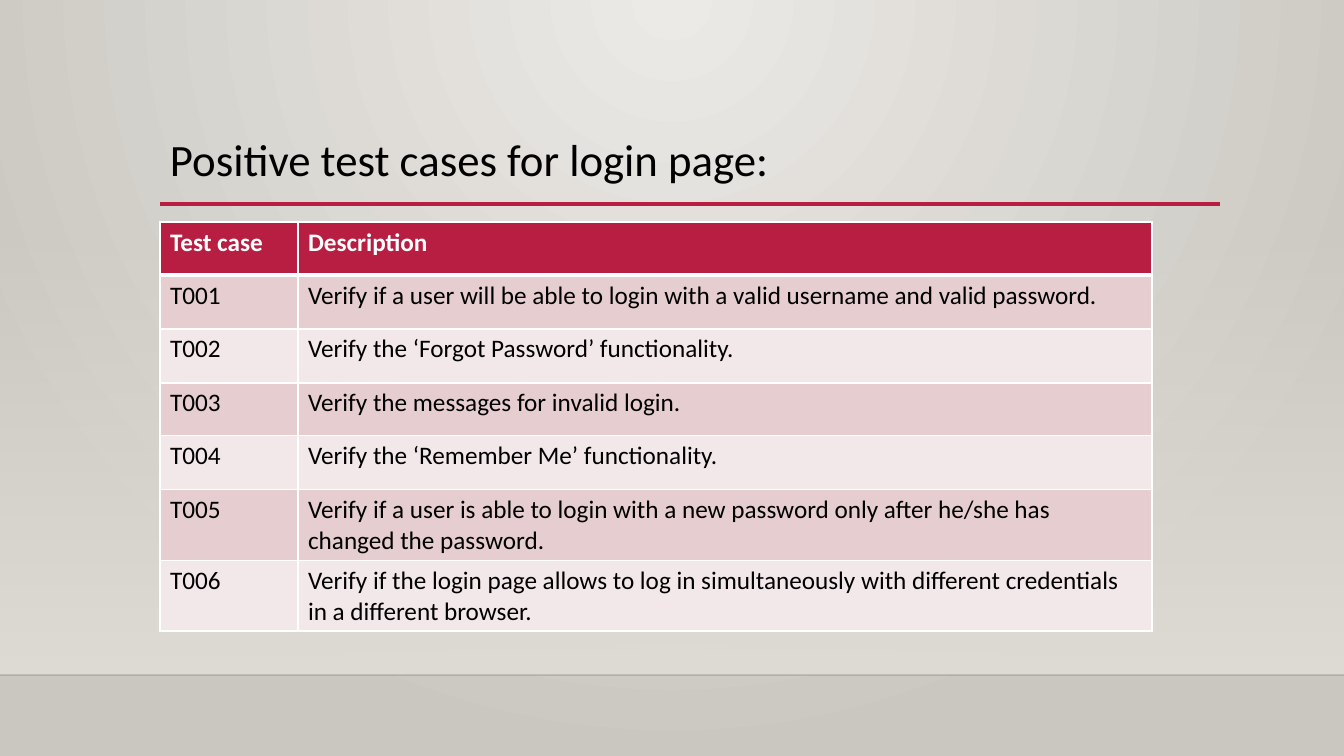
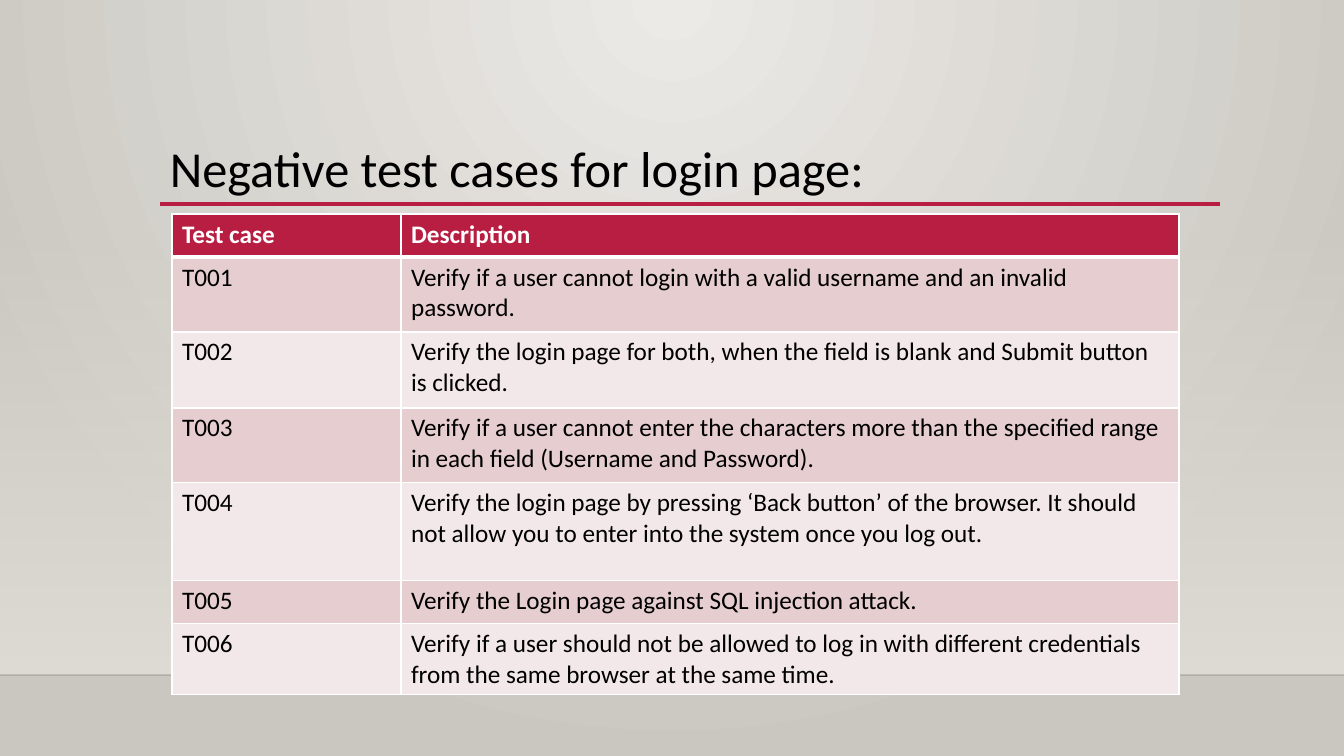
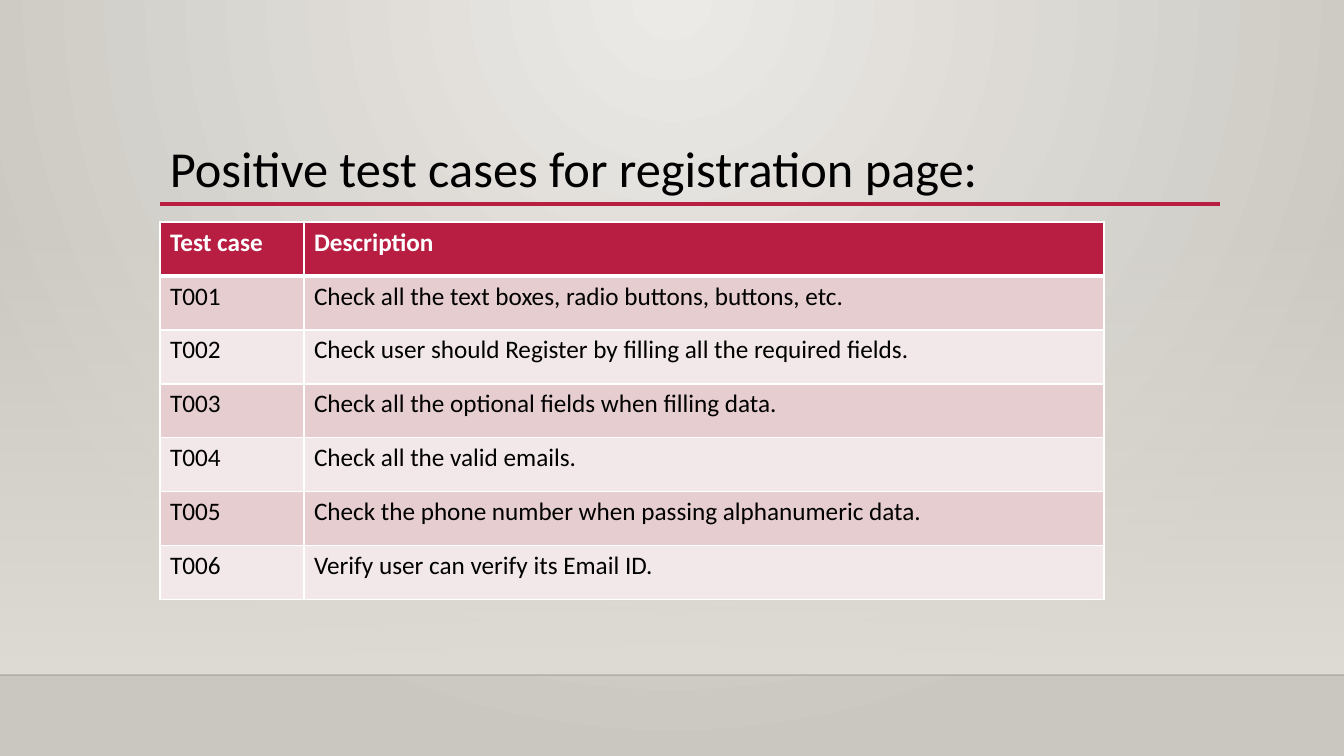
"""Build three slides of login and registration test cases."""
from dataclasses import dataclass

from lxml import etree
from pptx import Presentation
from pptx import util as u
from pptx.dml.color import RGBColor
from pptx.enum import shapes, text
from pptx.oxml.ns import qn

SCALE = 914400 / 100.8
WIDE, HIGH = 1344, 756
FLOOR = 675
FONT = "Calibri"
RED, BLACK, WHITE = "B71E42", "000000", "FFFFFF"
BANDS = ("F3E8E9", "E6CDCF")
HEADS = ("Test case", "Description")


@dataclass(frozen=True)
class Box:
    """A frame in pixels."""
    left: int
    top: int
    width: int
    height: int


@dataclass(frozen=True)
class Rule:
    """A straight line between two points at one height."""
    left: int
    right: int
    y: int
    color: str
    width: float
    alpha: int = 100


@dataclass(frozen=True)
class Page:
    """A title and its table of test cases."""
    title: str
    frame: Box
    size: int
    left: int
    top: int
    cols: tuple[int, int]
    rows: tuple[int, ...]
    cases: tuple[str, ...]


RULES = (
    Rule(0, WIDE, FLOOR, "000001", 1, 20),
    Rule(160, 1220, 204, RED, 2.5),
)

PAGES = (
    Page("Positive test cases for login page:", Box(160, 133, 656, 77), 32,
         160, 222, (138, 854), (53, 54, 54, 53, 54, 54, 54), (
             "Verify if a user will be able to login with a valid username and valid password.",
             "Verify the ‘Forgot Password’ functionality.",
             "Verify the messages for invalid login.",
             "Verify the ‘Remember Me’ functionality.",
             "Verify if a user is able to login with a new password only after he/she has "
             "changed the password.",
             "Verify if the login page allows to log in simultaneously with different "
             "credentials in a different browser.")),
    Page("Negative test cases for login page:", Box(160, 139, 1053, 66), 36,
         172, 214, (229, 778), (43, 75, 76, 75, 98, 43, 43), (
             "Verify if a user cannot login with a valid username and an invalid password.",
             "Verify the login page for both, when the field is blank and Submit button "
             "is clicked.",
             "Verify if a user cannot enter the characters more than the specified range "
             "in each field (Username and Password).",
             "Verify the login page by pressing ‘Back button’ of the browser. It should "
             "not allow you to enter into the system once you log out.",
             "Verify the Login page against SQL injection attack.",
             "Verify if a user should not be allowed to log in with different credentials "
             "from the same browser at the same time.")),
    Page("Positive test cases for registration page:", Box(160, 139, 911, 66), 36,
         160, 222, (144, 800), (54,) * 7, (
             "Check all the text boxes, radio buttons, buttons, etc.",
             "Check user should Register by filling all the required fields.",
             "Check all the optional fields when filling data.",
             "Check all the valid emails.",
             "Check the phone number when passing alphanumeric data.",
             "Verify user can verify its Email ID.")),
)


def px(value: float) -> u.Emu:
    """Turn pixels into EMU."""
    return u.Emu(round(value * SCALE))


def rgb(code: str) -> RGBColor:
    """Turn a hex string into a colour."""
    return RGBColor.from_string(code)


def place(box: Box) -> tuple[u.Emu, ...]:
    """Give the frame of a box in EMU."""
    return px(box.left), px(box.top), px(box.width), px(box.height)


def add(parent, tag: str, **attrs):
    """Append an element with attributes."""
    return etree.SubElement(parent, qn(tag), {k: str(v) for k, v in attrs.items()})


def fade(color, alpha: int) -> None:
    """Set the opacity of a colour element in percent."""
    add(color, "a:alpha", val=alpha * 1000)


def blend(fill, first: str, last: str) -> None:
    """Fill with a downward gradient of two colours."""
    fill.gradient()
    fill.gradient_angle = 270
    for stop, code, spot in zip(fill.gradient_stops, (first, last), (0, 1)):
        stop.color.rgb = rgb(code)
        stop.position = spot


def write(para, words: str, size: int, color: str, bold: bool = False) -> None:
    """Add one run to a paragraph."""
    run = para.add_run()
    run.text = words
    font = run.font
    font.name, font.size, font.bold = FONT, u.Pt(size), bold
    font.color.rgb = rgb(color)


def draw_rule(slide, rule: Rule) -> None:
    """Draw a horizontal line."""
    bar = slide.shapes.add_connector(
        shapes.MSO_CONNECTOR.STRAIGHT,
        px(rule.left), px(rule.y), px(rule.right), px(rule.y))
    bar.line.color.rgb = rgb(rule.color)
    bar.line.width = u.Pt(rule.width)
    props = bar.element.spPr
    if rule.alpha < 100:
        fade(props.find(".//" + qn("a:srgbClr")), rule.alpha)
    add(props, "a:effectLst")


def draw_base(slide) -> None:
    """Draw the background, wall and lines that all slides share."""
    blend(slide.background.fill, "ECEAE7", "CAC7C1")
    grad = slide.element.find(".//" + qn("a:gradFill"))
    grad.remove(grad.find(qn("a:lin")))
    glow = add(grad, "a:path", path="circle")
    add(glow, "a:fillToRect", l=43000, t=0, r=43000, b=100000)

    wall = slide.shapes.add_shape(
        shapes.MSO_SHAPE.RECTANGLE, *place(Box(0, 223, WIDE, FLOOR - 223)))
    wall.shadow.inherit = False
    wall.line.fill.background()
    blend(wall.fill, "DFDBD5", "DFDBD5")
    fade(wall.element.find(".//" + qn("a:srgbClr")), 0)
    for rule in RULES:
        draw_rule(slide, rule)


def draw_title(slide, page: Page) -> None:
    """Write the title of a page."""
    frame = slide.shapes.add_textbox(*place(page.frame)).text_frame
    frame.word_wrap = True
    frame.vertical_anchor = text.MSO_ANCHOR.TOP
    para = frame.paragraphs[0]
    para.line_spacing = 0.9
    write(para, page.title, page.size, BLACK)


def edge(cell, row: int) -> None:
    """Give a cell white borders, thick between head and body."""
    props = cell._tc.get_or_add_tcPr()
    thick = {(0, "B"), (1, "T")}
    for side in "LRTB":
        width = u.Pt(3 if (row, side) in thick else 1)
        line = add(props, f"a:ln{side}", w=int(width))
        add(add(line, "a:solidFill"), "a:srgbClr", val=WHITE)


def draw_table(slide, page: Page) -> None:
    """Draw the test cases with numbered codes."""
    lines = [HEADS, *((f"T{n:03}", case) for n, case in enumerate(page.cases, 1))]
    box = Box(page.left, page.top, sum(page.cols), sum(page.rows))
    table = slide.shapes.add_table(len(lines), len(HEADS), *place(box)).table
    table.horz_banding = False
    for col, width in zip(table.columns, page.cols):
        col.width = px(width)
    for row, (line, height) in enumerate(zip(lines, page.rows)):
        table.rows[row].height = px(height)
        head = row == 0
        for col, words in enumerate(line):
            cell = table.cell(row, col)
            edge(cell, row)
            cell.fill.solid()
            cell.fill.fore_color.rgb = rgb(RED if head else BANDS[row % 2])
            write(cell.text_frame.paragraphs[0], words, 18,
                  WHITE if head else BLACK, head)


def main() -> None:
    """Build and save the slides."""
    deck = Presentation()
    deck.slide_width, deck.slide_height = px(WIDE), px(HIGH)
    for page in PAGES:
        slide = deck.slides.add_slide(deck.slide_layouts[6])
        draw_base(slide)
        draw_title(slide, page)
        draw_table(slide, page)
    deck.save("out.pptx")


main()
